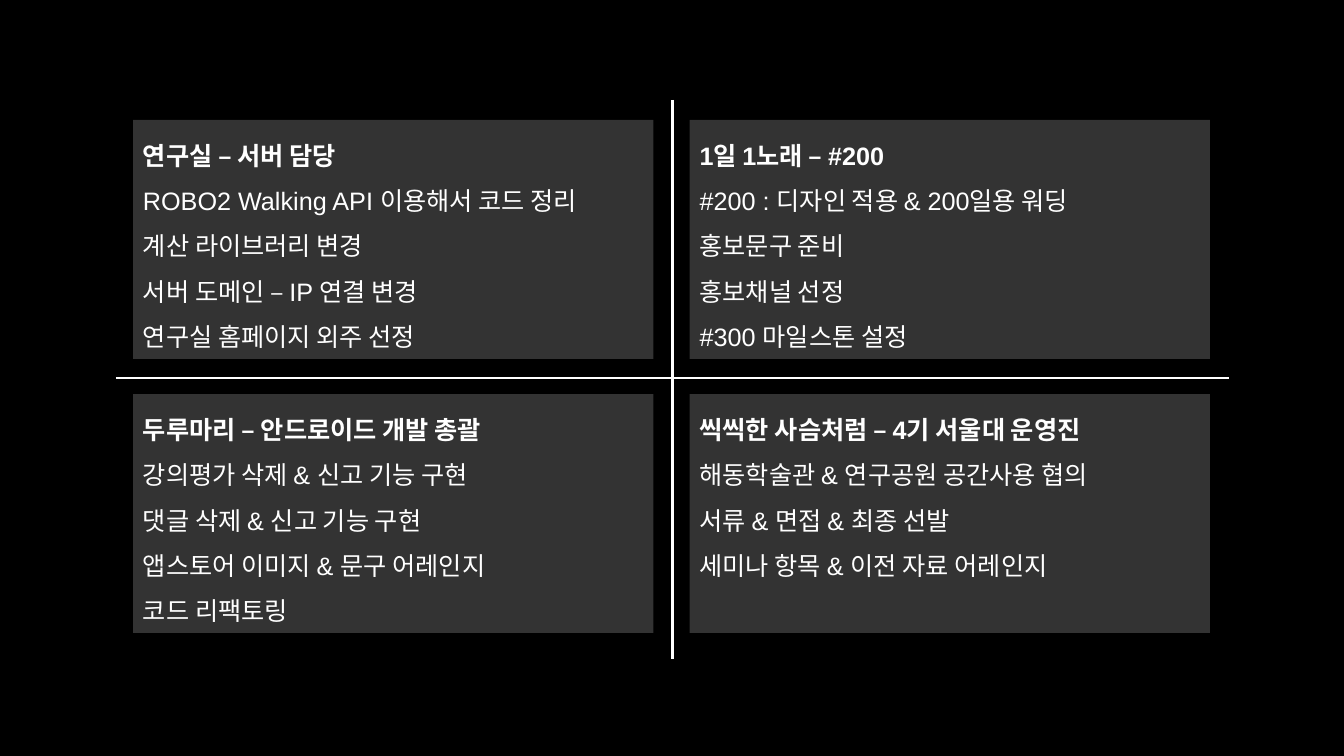
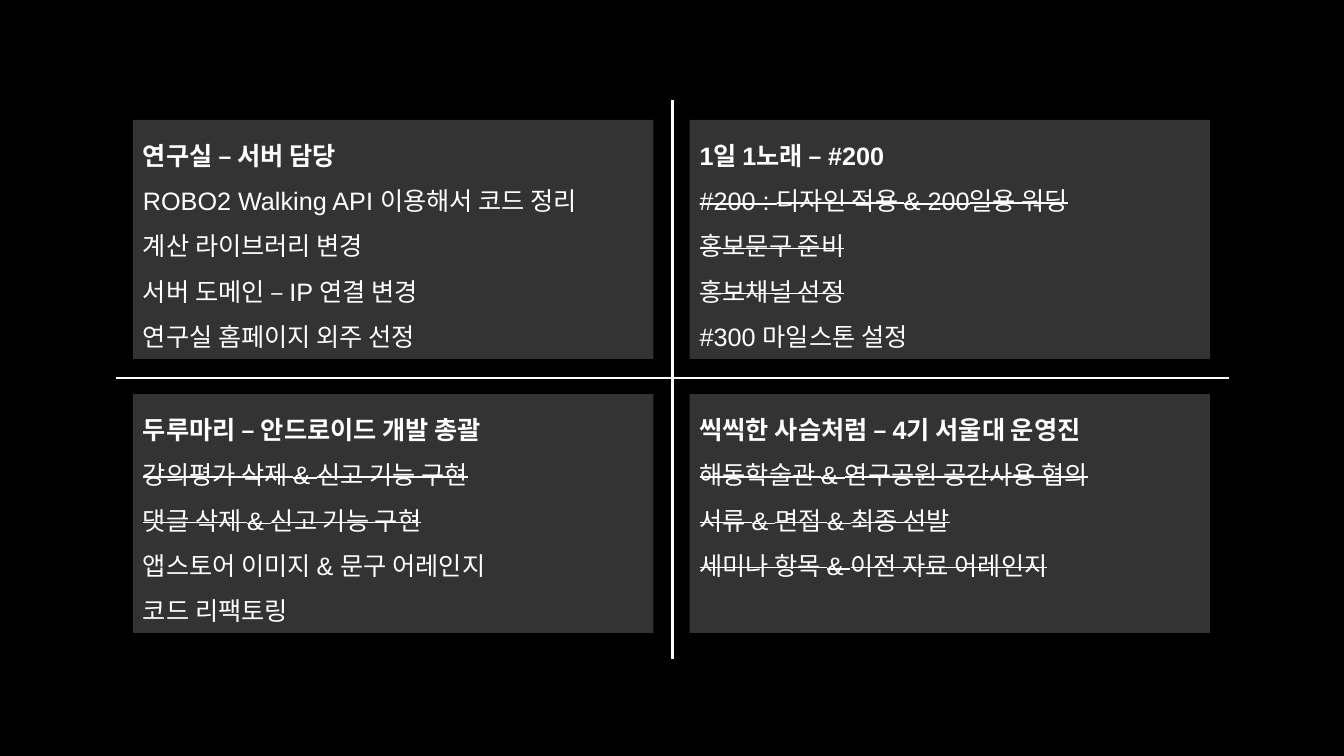
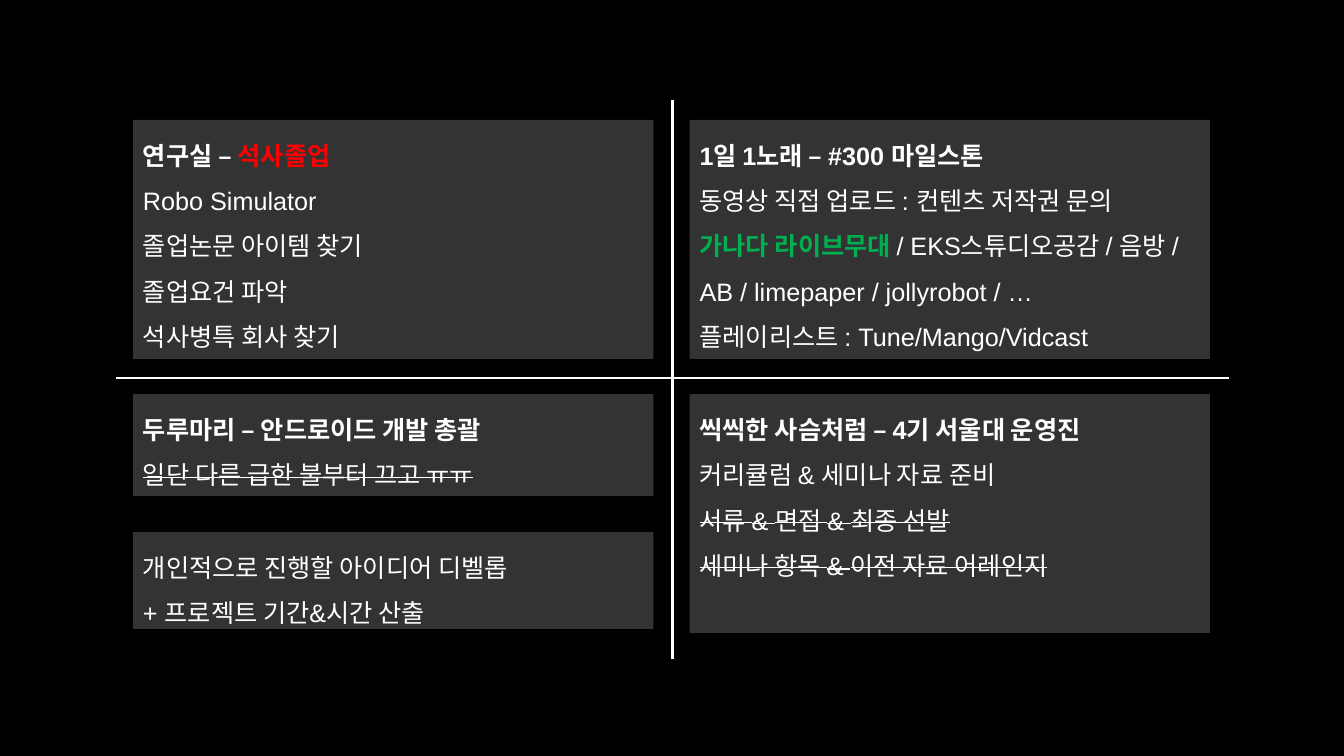
from dataclasses import dataclass, replace

from lxml import etree
from pptx import Presentation
from pptx.dml.color import RGBColor
from pptx.enum.shapes import MSO_CONNECTOR, MSO_SHAPE
from pptx.enum.text import MSO_ANCHOR, PP_ALIGN
from pptx.oxml.ns import qn
from pptx.slide import Slide
from pptx.util import Inches, Pt

RECT = MSO_SHAPE.RECTANGLE
STRAIGHT = MSO_CONNECTOR.STRAIGHT
LEFT = PP_ALIGN.LEFT
TOP = MSO_ANCHOR.TOP

BLACK = RGBColor(0x00, 0x00, 0x00)
WHITE = RGBColor(0xFF, 0xFF, 0xFF)
RED = RGBColor(0xFF, 0x00, 0x00)
GREEN = RGBColor(0x00, 0xB0, 0x50)
FONT, SIZE, SPACING = "Arial", Pt(18), 1.5
PANEL_OPACITY = 20

# Panel grid and its dividing cross, in inches
SLIDE_W, SLIDE_H = 13.33, 7.5
GRID_LEFT, GRID_TOP = 1.32, 1.19
COL_STEP, ROW_STEP = 5.52, 2.72
PANEL_W, PANEL_H = 5.16, 2.37
CROSS = (
    (6.67, 0.99, 6.67, 6.54),
    (1.15, SLIDE_H / 2, 12.19, SLIDE_H / 2),
)


@dataclass(frozen=True)
class Run:
    text: str
    bold: bool = False
    strike: bool = False
    color: RGBColor = WHITE


Line = tuple[Run, ...]


@dataclass(frozen=True)
class Panel:
    col: int
    row: int
    lines: tuple[Line, ...]
    height: float = PANEL_H
    drop: float = 0  # distance below the top of its row


def head(text: str) -> Line:
    return (Run(text, bold=True),)


def items(*texts: str, strike: bool = False) -> tuple[Line, ...]:
    return tuple((Run(text, strike=strike),) for text in texts)


def finish(panel: Panel, count: int) -> Panel:
    """Strike out the first items below the heading."""
    lines = tuple(
        tuple(replace(run, strike=1 <= i <= count) for run in line)
        for i, line in enumerate(panel.lines)
    )
    return replace(panel, lines=lines)


# Content
APP = head("두루마리 – 안드로이드 개발 총괄")
CLUB = head("씩씩한 사슴처럼 – 4기 서울대 운영진")
CLUB_TASKS = ("서류 & 면접 & 최종 선발", "세미나 항목 & 이전 자료 어레인지")

PLAN = (
    Panel(0, 0, (head("연구실 – 서버 담당"), *items(
        "ROBO2 Walking API 이용해서 코드 정리",
        "계산 라이브러리 변경",
        "서버 도메인 – IP 연결 변경",
        "연구실 홈페이지 외주 선정"))),
    Panel(1, 0, (head("1일 1노래 – #200"), *items(
        "#200 : 디자인 적용 & 200일용 워딩",
        "홍보문구 준비",
        "홍보채널 선정",
        "#300 마일스톤 설정"))),
    Panel(0, 1, (APP, *items(
        "강의평가 삭제 & 신고 기능 구현",
        "댓글 삭제 & 신고 기능 구현",
        "앱스토어 이미지 & 문구 어레인지",
        "코드 리팩토링"))),
    Panel(1, 1, (CLUB, *items(
        "해동학술관 & 연구공원 공간사용 협의", *CLUB_TASKS))),
)

PROGRESS = tuple(finish(panel, n) for panel, n in zip(PLAN, (0, 3, 2, 3)))

NEXT_PLAN = (
    Panel(0, 0, (
        (Run("연구실 – ", bold=True), Run("석사졸업", bold=True, color=RED)),
        *items("Robo Simulator", "졸업논문 아이템 찾기",
               "졸업요건 파악", "석사병특 회사 찾기"))),
    Panel(1, 0, (
        head("1일 1노래 – #300 마일스톤"),
        *items("동영상 직접 업로드 : 컨텐츠 저작권 문의"),
        (Run("가나다 라이브무대 ", bold=True, color=GREEN),
         Run("/ EKS스튜디오공감 / 음방 / AB / limepaper / jollyrobot / …")),
        *items("플레이리스트 : Tune/Mango/Vidcast"))),
    Panel(0, 1, (APP, *items("일단 다른 급한 불부터 끄고 ㅠㅠ", strike=True)),
          height=1.01),
    Panel(1, 1, (CLUB, *items("커리큘럼 & 세미나 자료 준비"),
                 *items(*CLUB_TASKS, strike=True))),
    Panel(0, 1, items("개인적으로 진행할 아이디어 디벨롭",
                      "+ 프로젝트 기간&시간 산출"),
          height=0.96, drop=1.37),
)


# Drawing
def add_cross(s: Slide) -> None:
    for ends in CROSS:
        line = s.shapes.add_connector(STRAIGHT, *map(Inches, ends))
        line.line.color.rgb = WHITE
        line.line.width = Pt(2)
        etree.SubElement(line._element.spPr, qn("a:effectLst"))


def add_panel(s: Slide, panel: Panel) -> None:
    sp = s.shapes.add_shape(
        RECT,
        Inches(GRID_LEFT + panel.col * COL_STEP),
        Inches(GRID_TOP + panel.row * ROW_STEP + panel.drop),
        Inches(PANEL_W), Inches(panel.height))
    sp.shadow.inherit = False
    sp.line.fill.background()
    sp.fill.solid()
    sp.fill.fore_color.rgb = WHITE
    color = sp._element.spPr.find(qn("a:solidFill"))[0]
    etree.SubElement(color, qn("a:alpha"), val=str(PANEL_OPACITY * 1000))

    tf = sp.text_frame
    tf.word_wrap = True
    tf.vertical_anchor = TOP
    for i, line in enumerate(panel.lines):
        p = tf.add_paragraph() if i else tf.paragraphs[0]
        p.alignment = LEFT
        p.line_spacing = SPACING
        for run in line:
            r = p.add_run()
            r.text = run.text
            r.font.name, r.font.size = FONT, SIZE
            r.font.bold = run.bold
            r.font.color.rgb = run.color
            if run.strike:
                r._r.get_or_add_rPr().set("strike", "sngStrike")


def main() -> None:
    prs = Presentation()
    prs.slide_width, prs.slide_height = Inches(SLIDE_W), Inches(SLIDE_H)
    background = prs.slide_master.background.fill
    background.solid()
    background.fore_color.rgb = BLACK
    blank = prs.slide_layouts[6]
    for panels in (PLAN, PROGRESS, NEXT_PLAN):
        s = prs.slides.add_slide(blank)
        add_cross(s)
        for panel in panels:
            add_panel(s, panel)
    prs.save("out.pptx")


if __name__ == "__main__":
    main()
